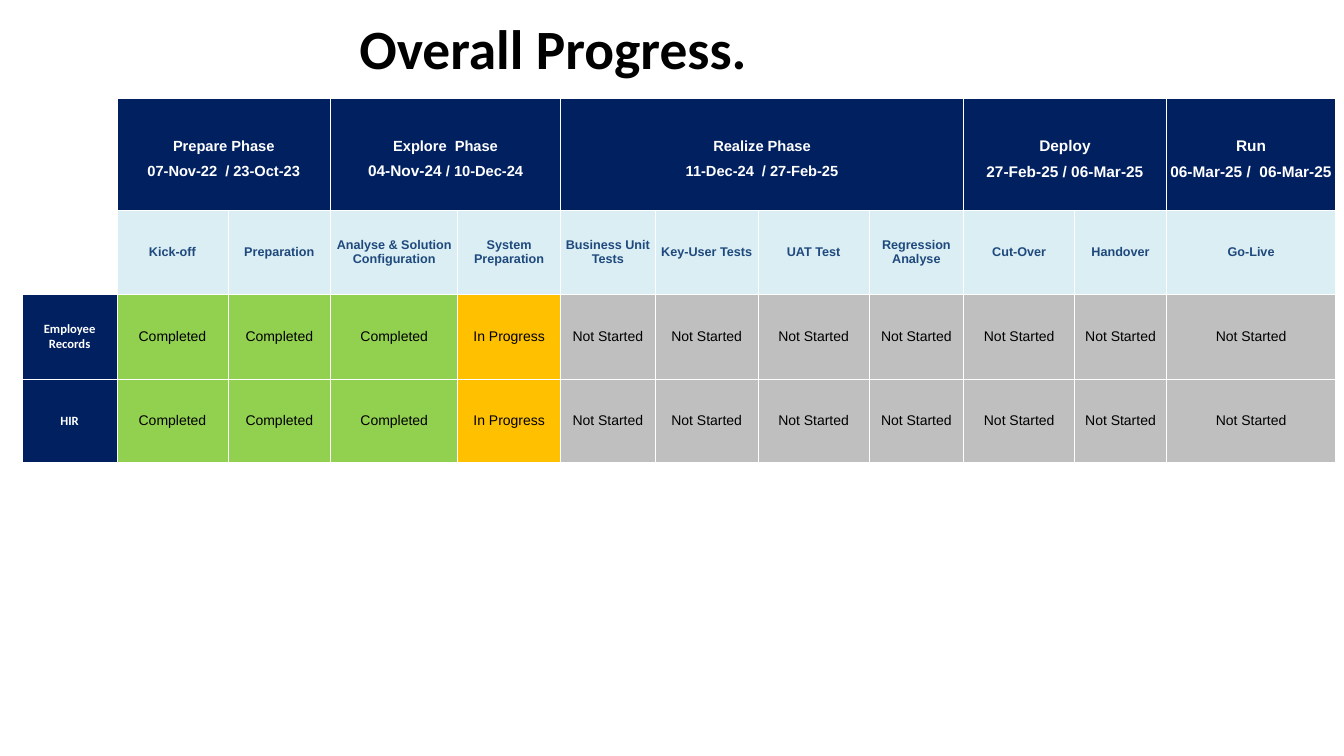
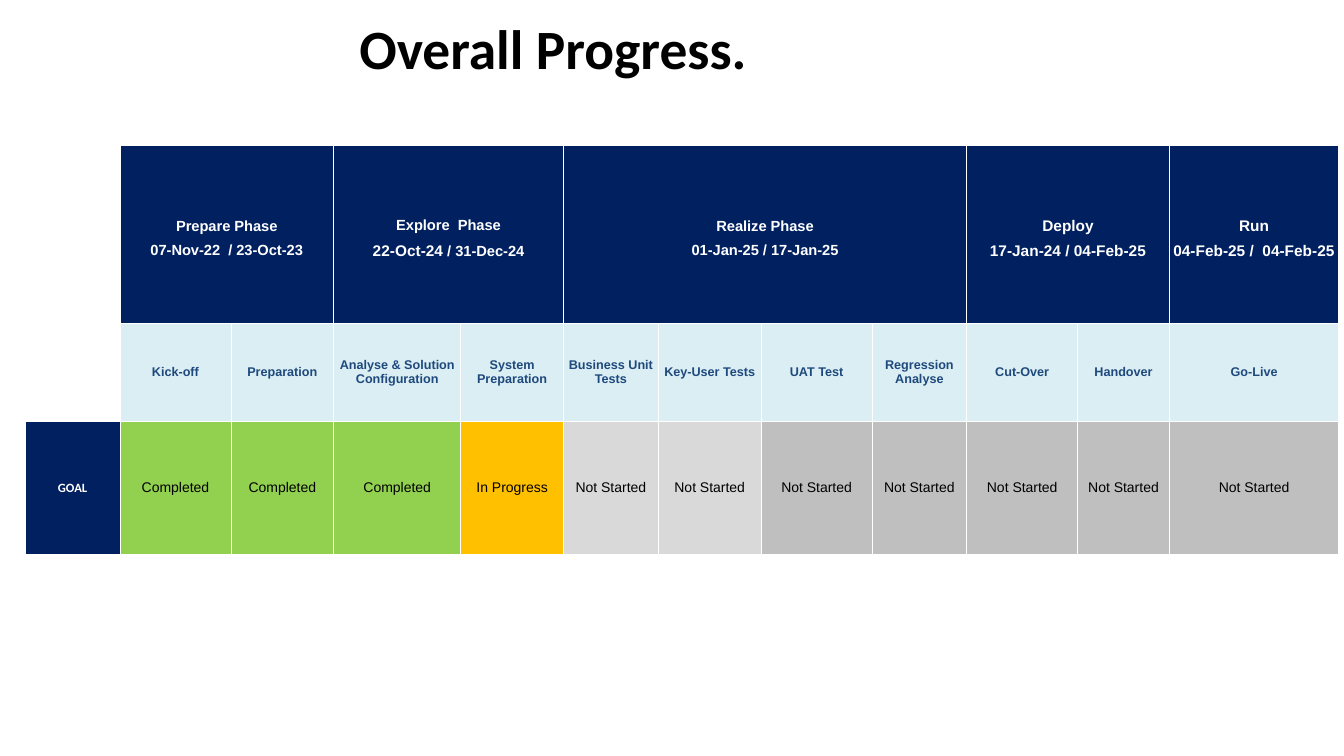
from lxml import etree
from pptx import Presentation
from pptx import util as u
from pptx.dml.color import RGBColor
from pptx.enum import text
from pptx.oxml import ns

PX = 9144  # EMU per px, 100 px to the inch
COLOURS = {
    "navy": "002060", "ice": "DAEEF3", "blue": "1F497D", "white": "FFFFFF",
    "black": "000000", "green": "92D050", "amber": "FFC000",
    "grey": "BFBFBF", "pale": "D9D9D9",
}
COLUMNS = [94, 110, 102, 126, 102, 94, 102, 110, 94, 110, 91, 168]

# Name, number of steps, text size, size of the start date
PHASES = [
    ("Prepare Phase", 2, 10.5, 10.5),
    ("Explore  Phase", 2, 10.5, 11),
    ("Realize Phase", 4, 10.5, 10.5),
    ("Deploy", 2, 11, 11),
    ("Run", 1, 11, 11),
]
STEPS = [
    "Kick-off", "Preparation", "Analyse & Solution Configuration",
    "System Preparation", "Business Unit Tests", "Key-User Tests", "UAT Test",
    "Regression Analyse", "Cut-Over", "Handover", "Go-Live",
]

# Status, colour, number of successive steps
STARTED = [("Completed", "green", 3), ("In Progress", "amber", 1)]
CORE_PROGRESS = STARTED + [("Not Started", "grey", 7)]
GOALS_PROGRESS = STARTED + [("Not Started", "pale", 2), ("Not Started", "grey", 5)]

# Phase dates: start, then separator with end
CORE_DATES = [
    ("07-Nov-22", "  / 23-Oct-23"), ("04-Nov-24", " / 10-Dec-24"),
    ("11-Dec-24", "  / 27-Feb-25"), ("27-Feb-25", " / 06-Mar-25"),
    ("06-Mar-25", " /  06-Mar-25"),
]
GOALS_DATES = [
    ("07-Nov-22", "  / 23-Oct-23"), ("22-Oct-24", " / 31-Dec-24"),
    ("01-Jan-25", " / 17-Jan-25"), ("17-Jan-24", " / 04-Feb-25"),
    ("04-Feb-25", " /  04-Feb-25"),
]


def px(length):
    return u.Emu(length * PX)


def rgb(name):
    return RGBColor.from_string(COLOURS[name])


def write(paragraph, words, *, size, colour="white", font="Arial", bold=True,
          spacing=None):
    """Append one formatted run to a centred paragraph."""
    paragraph.alignment = text.PP_ALIGN.CENTER
    if spacing:
        paragraph.line_spacing = spacing
    run = paragraph.add_run()
    run.text = words
    run.font.size = u.Pt(size)
    run.font.name = font
    run.font.bold = bold
    run.font.color.rgb = rgb(colour)


def style_cell(cell, fill=None):
    """Fill the cell, drop its margins and give it thin white borders."""
    cell.margin_left = cell.margin_right = cell.margin_top = cell.margin_bottom = 0
    cell.vertical_anchor = text.MSO_ANCHOR.MIDDLE
    if fill:
        cell.fill.solid()
        cell.fill.fore_color.rgb = rgb(fill)
    else:
        cell.fill.background()
    properties = cell._tc.get_or_add_tcPr()
    for index, side in enumerate(("lnL", "lnR", "lnT", "lnB")):
        border = etree.Element(ns.qn(f"a:{side}"), w=str(u.Pt(0.5)))
        solid = etree.SubElement(border, ns.qn("a:solidFill"))
        etree.SubElement(solid, ns.qn("a:srgbClr"), val=COLOURS["white"])
        properties.insert(index, border)


def fill_phases(table, dates):
    column = 1
    for (name, span, size, start_size), (start, end) in zip(PHASES, dates):
        cell = table.cell(0, column)
        if span > 1:
            cell.merge(table.cell(0, column + span - 1))
        heading = cell.text_frame.paragraphs[0]
        period = cell.text_frame.add_paragraph()
        write(heading, name, size=size, spacing=1.5)
        write(period, start, size=start_size, spacing=1.5)
        write(period, end, size=size, spacing=1.5)
        column += span


def fill_steps(table):
    for column, step in enumerate(STEPS, 1):
        write(table.cell(1, column).text_frame.paragraphs[0], step,
              size=9, colour="blue")


def fill_module(table, row, module, progress):
    head = table.cell(row, 0)
    style_cell(head, "navy")
    write(head.text_frame.paragraphs[0], module, size=9, font="Calibri")
    statuses = [(status, fill) for status, fill, count in progress
                for _ in range(count)]
    for column, (status, fill) in enumerate(statuses, 1):
        cell = table.cell(row, column)
        style_cell(cell, fill)
        write(cell.text_frame.paragraphs[0], status, size=10, colour="black",
              bold=False)


def add_progress_table(slide, left, top, heights, dates, modules):
    table = slide.shapes.add_table(
        len(heights), len(COLUMNS), px(left), px(top),
        px(sum(COLUMNS)), px(sum(heights))).table
    table.first_row = table.horz_banding = False
    for column, width in zip(table.columns, COLUMNS):
        column.width = px(width)
    for row, height in zip(table.rows, heights):
        row.height = px(height)
    for row, fill in enumerate(("navy", "ice")):
        for column in range(len(COLUMNS)):
            style_cell(table.cell(row, column), fill if column else None)
    fill_phases(table, dates)
    fill_steps(table)
    for row, (module, progress) in enumerate(modules, 2):
        fill_module(table, row, module, progress)


def place_title(layout):
    """Set the title position that all slides inherit."""
    title = layout.placeholders[0]
    title.left, title.top = px(0), px(17)
    title.width, title.height = px(1097), px(60)


def add_slide(deck, layout):
    slide = deck.slides.add_slide(layout)
    frame = slide.shapes.title.text_frame
    frame.auto_size = text.MSO_AUTO_SIZE.NONE
    frame.vertical_anchor = text.MSO_ANCHOR.MIDDLE
    write(frame.paragraphs[0], "Overall Progress.", size=39.6, colour="black",
          font="Calibri")
    return slide


def main():
    deck = Presentation()
    deck.slide_width, deck.slide_height = px(1333), px(750)
    layout = deck.slide_layouts.get_by_name("Title Only")
    place_title(layout)
    add_progress_table(add_slide(deck, layout), 22, 98, [111, 83, 84, 83],
                       CORE_DATES,
                       [("Employee Records", CORE_PROGRESS),
                        ("HIR", CORE_PROGRESS)])
    add_progress_table(add_slide(deck, layout), 25, 144, [177, 97, 132],
                       GOALS_DATES, [("GOAL", GOALS_PROGRESS)])
    deck.save("out.pptx")


if __name__ == "__main__":
    main()
